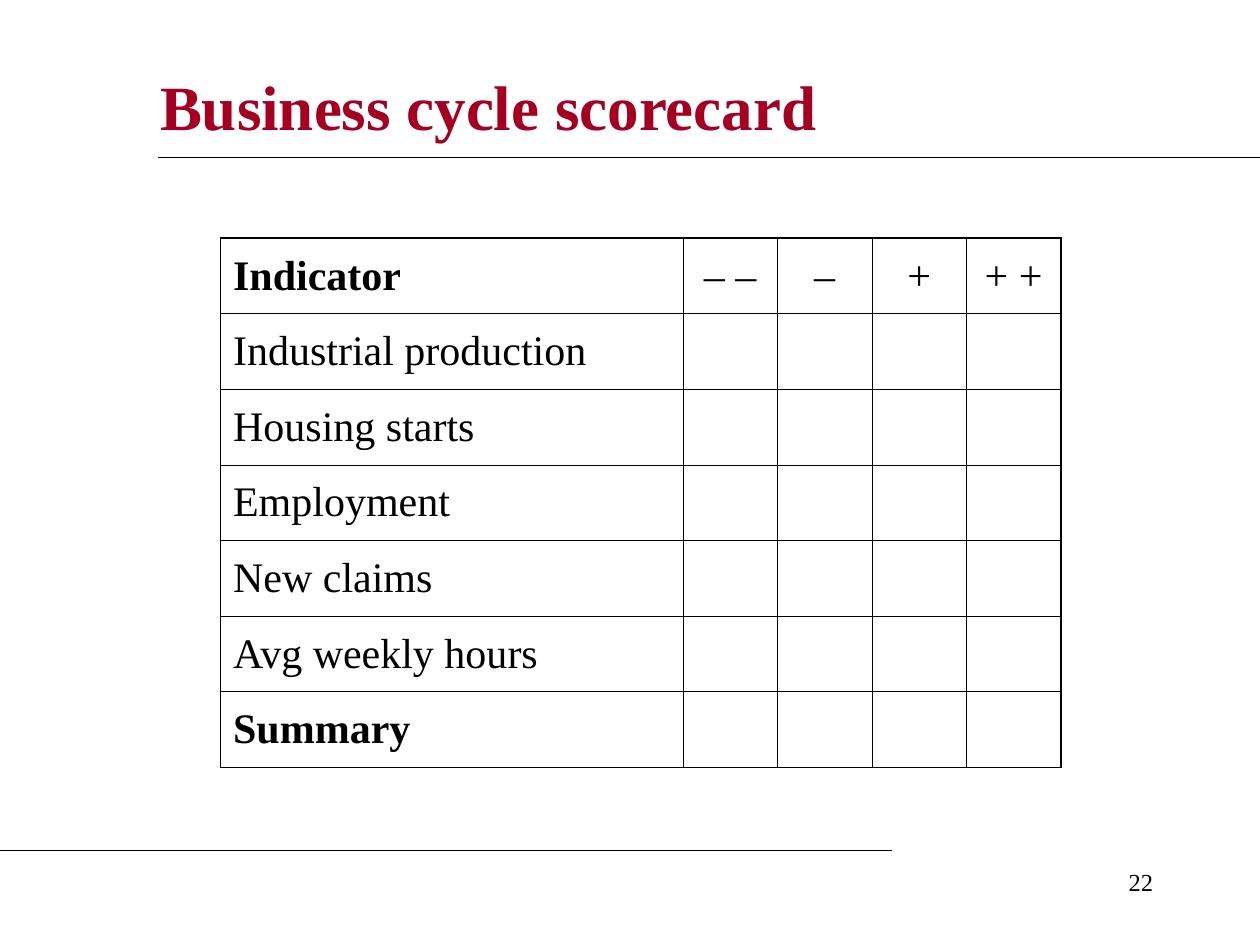
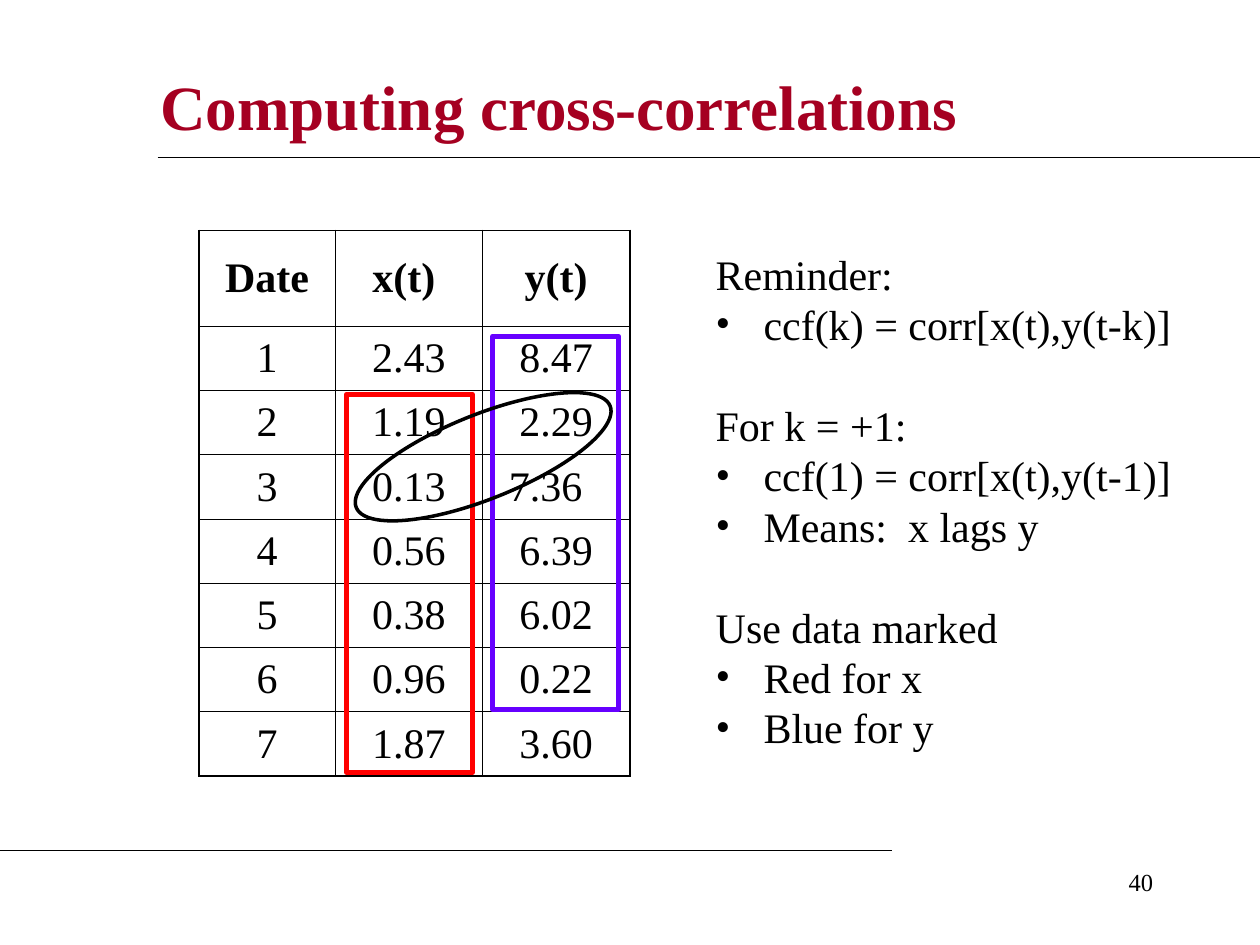
import pptx
import pptx.dml.color
import pptx.enum.shapes
import pptx.enum.text
import pptx.oxml.ns
import pptx.util
from lxml import etree
from pptx.util import Inches

COLORS = {"title": "A50021", "ink": "000000", "red": "FF0000", "blue": "6600FF"}
FACE = "Times New Roman"
ALIGN = pptx.enum.text.PP_ALIGN
MIDDLE = pptx.enum.text.MSO_ANCHOR.MIDDLE
TOP = pptx.enum.text.MSO_ANCHOR.TOP
SHAPE = pptx.enum.shapes.MSO_SHAPE

TITLE_BOX = (1.17, 0.42, 8.08, 0.83)
PAGE_BOX = (7.17, 6.83, 2.08, 0.5)
RULES = [(1.25, 1.25, 10, 1.25), (0, 6.75, 7.08, 6.75)]
LEAD = 28.8  # line pitch of the notes in points
OUTER, INNER = 1.08, 0.45  # table border widths in points

SCORES = [["Indicator", "– –", "–", "+", "+ +"]] + [
    [name, "", "", "", ""] for name in (
        "Industrial production", "Housing starts", "Employment",
        "New claims", "Avg weekly hours", "Summary")]

DATA = [
    ["Date", "x(t)", "y(t)"],
    ["1", "2.43", "8.47"],
    ["2", "1.19", "2.29"],
    ["3", "0.13", "7.36"],
    ["4", "0.56", "6.39"],
    ["5", "0.38", "6.02"],
    ["6", "0.96", "0.22"],
    ["7", "1.87", "3.60"],
]

NOTES = [
    ("Reminder:", ["ccf(k) = corr[x(t),y(t-k)]"]),
    ("For k = +1:", ["ccf(1) = corr[x(t),y(t-1)]", "Means:  x lags y"]),
    ("Use data marked", ["Red for x", "Blue for y"]),
]


# Basic helpers
def apply(item, values):
    for name, value in values.items():
        setattr(item, name, value)


def rgb(key):
    return pptx.dml.color.RGBColor.from_string(COLORS[key])


def node(parent, tag, **attrs):
    return etree.SubElement(parent, pptx.oxml.ns.qn(tag), attrs)


def place(shape, box):
    names = ("left", "top", "width", "height")
    apply(shape, dict(zip(names, map(Inches, box))))


def write(para, text, size, color="ink", bold=False, align=ALIGN.LEFT):
    para.alignment = align
    run = para.add_run()
    run.text = text
    apply(run.font, {"name": FACE, "size": pptx.util.Pt(size), "bold": bold})
    run.font.color.rgb = rgb(color)


def set_frame(frame, anchor):
    apply(frame, {"word_wrap": True, "vertical_anchor": anchor,
                  "auto_size": pptx.enum.text.MSO_AUTO_SIZE.NONE})


# Shared slide parts
def add_rule(slide, ends):
    line = slide.shapes.add_connector(
        pptx.enum.shapes.MSO_CONNECTOR.STRAIGHT, *map(Inches, ends))
    line.line.color.rgb = rgb("ink")
    line.line.width = pptx.util.Pt(0.75)
    node(line._element.spPr, "a:effectLst")


def add_slide(deck, layout, title, page):
    slide = deck.slides.add_slide(deck.slide_layouts.get_by_name(layout))
    head = slide.shapes.title
    place(head, TITLE_BOX)
    set_frame(head.text_frame, MIDDLE)
    write(head.text_frame.paragraphs[0], title, 36, "title", True)
    for ends in RULES:
        add_rule(slide, ends)
    foot = slide.shapes.add_textbox(*map(Inches, PAGE_BOX)).text_frame
    set_frame(foot, TOP)
    write(foot.paragraphs[0], str(page), 14, align=ALIGN.RIGHT)
    return slide


# Tables
def set_edges(cell, widths):
    props = cell._tc.get_or_add_tcPr()
    for spot, (side, width) in enumerate(zip("LRTB", widths)):
        edge = node(props, "a:ln" + side, w=str(int(pptx.util.Pt(width))))
        fill = node(edge, "a:solidFill")
        node(fill, "a:srgbClr", val=COLORS["ink"])
        props.insert(spot, edge)


def add_grid(slide, spot, cols, rows, data, bold_rows, left_col=False, pads={}):
    """Draw a ruled table; pads maps (row, column) to a right inset."""
    box = (*spot, sum(cols), sum(rows))
    grid = slide.shapes.add_table(len(rows), len(cols), *map(Inches, box)).table
    apply(grid, {"first_row": False, "horz_banding": False})
    for col, width in zip(grid.columns, cols):
        col.width = Inches(width)
    for row, height in zip(grid.rows, rows):
        row.height = Inches(height)
    last_row, last_col = len(rows) - 1, len(cols) - 1
    for r, texts in enumerate(data):
        for c, text in enumerate(texts):
            cell = grid.cell(r, c)
            cell.vertical_anchor = MIDDLE
            cell.margin_right = Inches(pads.get((r, c), 0.1))
            cell.fill.background()
            outer = (c == 0, c == last_col, r == 0, r == last_row)
            set_edges(cell, [OUTER if out else INNER for out in outer])
            if text:
                align = ALIGN.LEFT if left_col and c == 0 else ALIGN.CENTER
                bold = r in bold_rows and not (left_col and c > 0)
                write(cell.text_frame.paragraphs[0], text, 24, bold=bold, align=align)


# Notes and marks
def add_note(frame, text, gap, bullet, first):
    para = frame.paragraphs[0] if first else frame.add_paragraph()
    apply(para, {"line_spacing": pptx.util.Pt(LEAD),
                 "space_before": pptx.util.Pt(gap)})
    props = para._p.get_or_add_pPr()
    for name, value in (("marL", 0.38), ("indent", -0.38)):
        props.set(name, str(int(Inches(value))))
    if bullet:
        node(node(props, "a:buClr"), "a:srgbClr", val=COLORS["ink"])
        node(props, "a:buFont", typeface=FACE)
        node(props, "a:buChar", char="•")
    else:
        node(props, "a:buNone")
    write(para, text, 24)


def fill_notes(body, groups):
    place(body, (5.58, 1.92, 4, 4.17))
    frame = body.text_frame
    set_frame(frame, TOP)
    for i, (lead, points) in enumerate(groups):
        add_note(frame, lead, LEAD if i else 0, False, i == 0)
        for point in points:
            add_note(frame, point, 0, True, False)


def add_mark(slide, kind, box, color, width, turn=0):
    mark = slide.shapes.add_shape(kind, *map(Inches, box))
    mark.shadow.inherit = False
    mark.fill.background()
    mark.line.color.rgb = rgb(color)
    mark.line.width = pptx.util.Pt(width)
    mark.rotation = turn


def main():
    deck = pptx.Presentation()
    apply(deck, {"slide_width": Inches(10), "slide_height": Inches(7.5)})

    # Scorecard
    slide = add_slide(deck, "Title Only", "Business cycle scorecard", 22)
    add_grid(slide, (1.75, 1.89), [3.67] + [0.75] * 4, [0.6] * 7, SCORES,
             bold_rows=(0, 6), left_col=True)

    # Lagged data
    slide = add_slide(deck, "Title and Content", "Computing cross-correlations", 40)
    fill_notes(slide.placeholders[1], NOTES)
    add_grid(slide, (1.58, 1.83), [1.08, 1.17, 1.17], [0.76] + [0.51] * 7, DATA,
             bold_rows=(0,), pads={(0, 1): 0.18, (3, 2): 0.27})
    add_mark(slide, SHAPE.RECTANGLE, (2.75, 3.13, 1, 3), "red", 3)
    add_mark(slide, SHAPE.RECTANGLE, (3.91, 2.67, 1, 2.96), "blue", 3)
    add_mark(slide, SHAPE.OVAL, (2.75, 3.29, 2.17, 0.67), "ink", 2, 338.2)

    deck.save("out.pptx")


if __name__ == "__main__":
    main()
